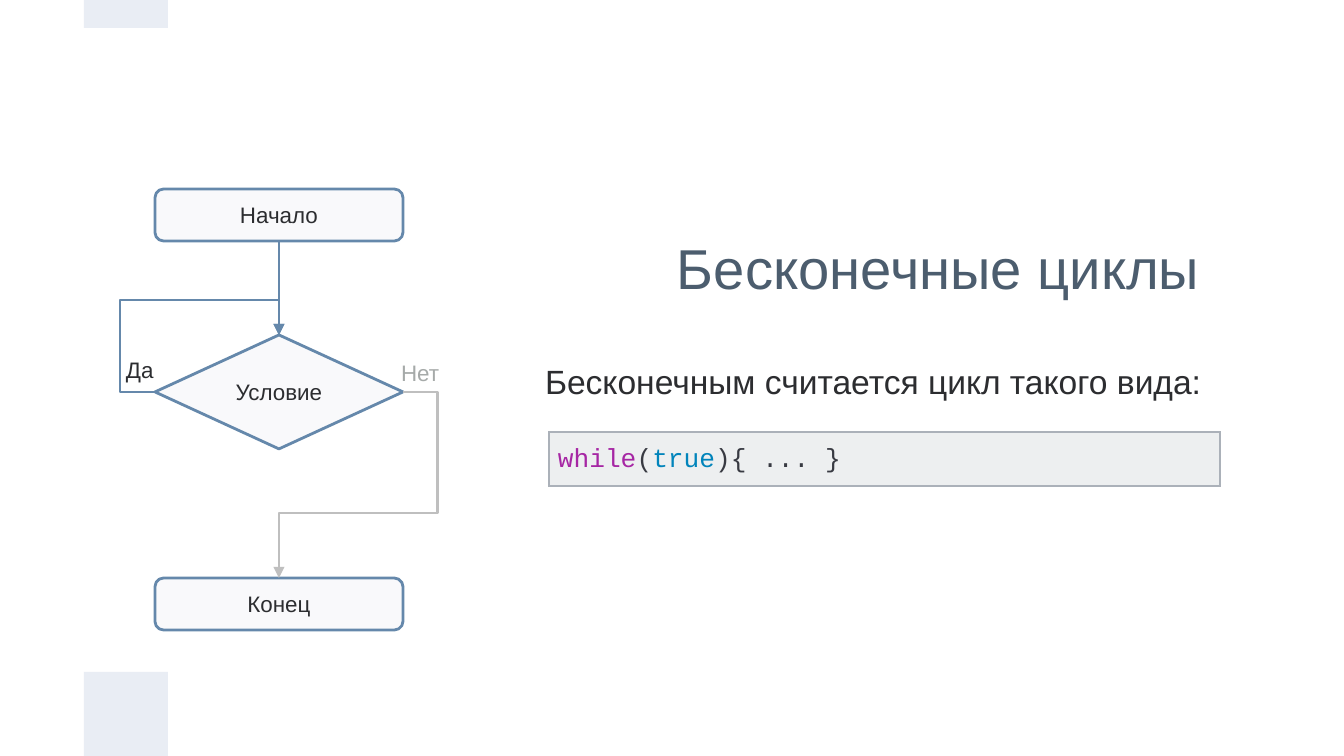
from lxml import etree
from pptx import Presentation
from pptx.dml.color import RGBColor
from pptx.enum.shapes import MSO_CONNECTOR, MSO_SHAPE
from pptx.enum.text import MSO_ANCHOR, PP_ALIGN
from pptx.oxml.ns import qn
from pptx.util import Emu, Pt

EMU_PER_PX = 914400 / 134.4
RECTANGLE = MSO_SHAPE.RECTANGLE
ROUNDED = MSO_SHAPE.ROUNDED_RECTANGLE
DIAMOND = MSO_SHAPE.DIAMOND
STRAIGHT = MSO_CONNECTOR.STRAIGHT
ELBOW = MSO_CONNECTOR.ELBOW
MIDDLE = MSO_ANCHOR.MIDDLE
TOP = MSO_ANCHOR.TOP
LEFT = PP_ALIGN.LEFT
CENTER = PP_ALIGN.CENTER
JUSTIFY = PP_ALIGN.JUSTIFY
TOP_SITE, BOTTOM_SITE = 0, 2

BLUE = "6588AB"
GRAY = "BFBFBF"
DARK = "2C2D30"
CODE = "383A42"
NODE_LEFT, NODE_WIDTH = 155, 248
NODE_CENTER = NODE_LEFT + NODE_WIDTH // 2
CONDITION_TOP, CONDITION_MIDDLE = 335, 392
END_TOP = 578


def px(value):
    return Emu(round(value * EMU_PER_PX))


def color(value):
    return RGBColor.from_string(value)


def set_fill(target, value):
    target.fill.solid()
    target.fill.fore_color.rgb = color(value)


def set_font(font, size, value, name="Arial"):
    font.name = name
    font.size = Pt(size)
    font.color.rgb = color(value)


def set_margins(target, horizontal, vertical):
    target.margin_left = target.margin_right = px(horizontal)
    target.margin_top = target.margin_bottom = px(vertical)


def write_text(shape, text, size, value, align, anchor, margins):
    frame = shape.text_frame
    frame.word_wrap = True
    frame.vertical_anchor = anchor
    set_margins(frame, *margins)
    paragraph = frame.paragraphs[0]
    paragraph.text = text
    paragraph.alignment = align
    set_font(paragraph.font, size, value)
    return paragraph


def add_band(slide, top, height):
    shape = slide.shapes.add_shape(RECTANGLE, px(84), px(top), px(84), px(height))
    shape.shadow.inherit = False
    set_fill(shape, "E9EDF4")
    shape.line.fill.background()


def add_node(slide, kind, text, top, height):
    shape = slide.shapes.add_shape(kind, px(NODE_LEFT), px(top), px(NODE_WIDTH), px(height))
    shape.shadow.inherit = False
    set_fill(shape, "F9F9FB")
    shape.line.color.rgb = color(BLUE)
    shape.line.width = Pt(1.5)
    write_text(shape, text, 12, DARK, CENTER, MIDDLE, (13, 7))
    return shape


def add_text(slide, text, box, size, value, align=LEFT, anchor=TOP, margins=(13, 7)):
    shape = slide.shapes.add_textbox(*map(px, box))
    return write_text(shape, text, size, value, align, anchor, margins)


def add_arrow(slide, kind, start, end, value):
    connector = slide.shapes.add_connector(kind, *map(px, start + end))
    connector.line.color.rgb = color(value)
    connector.line.width = Pt(1.5)
    properties = connector._element.spPr
    etree.SubElement(properties.find(qn("a:ln")), qn("a:tailEnd"), type="triangle")
    etree.SubElement(properties, qn("a:effectLst"))
    return connector


def add_bent_arrow(slide, start, end, via_x, via_y, value):
    connector = add_arrow(slide, ELBOW, start, end, value)
    geometry = connector._element.spPr.find(qn("a:prstGeom"))
    geometry.set("prst", "bentConnector4")
    guides = geometry.find(qn("a:avLst"))
    if guides is None:
        guides = etree.SubElement(geometry, qn("a:avLst"))
    for axis, via in enumerate((via_x, via_y)):
        ratio = (via - start[axis]) / (end[axis] - start[axis])
        etree.SubElement(guides, qn("a:gd"), name=f"adj{axis + 1}",
                         fmla=f"val {round(ratio * 100000)}")


def add_cell_borders(cell, value):
    properties = cell._tc.get_or_add_tcPr()
    for index, side in enumerate(("lnL", "lnR", "lnT", "lnB")):
        line = etree.Element(qn(f"a:{side}"), w=str(Pt(1)))
        fill = etree.SubElement(line, qn("a:solidFill"))
        etree.SubElement(fill, qn("a:srgbClr"), val=value)
        properties.insert(index, line)


def add_code_table(slide, box, pieces):
    table = slide.shapes.add_table(1, 1, *map(px, box)).table
    table.first_row = table.horz_banding = False
    cell = table.cell(0, 0)
    set_fill(cell, "EDEFF0")
    set_margins(cell, 9, 9)
    add_cell_borders(cell, "ABB1B9")
    paragraph = cell.text_frame.paragraphs[0]
    paragraph.line_spacing = 1.15
    for text, value in pieces:
        run = paragraph.add_run()
        run.text = text
        set_font(run.font, 14, value, "Courier New")


def add_flowchart(slide):
    start = add_node(slide, ROUNDED, "Начало", 189, 52)
    condition = add_node(slide, DIAMOND, "Условие", CONDITION_TOP, 114)
    add_node(slide, ROUNDED, "Конец", END_TOP, 52)
    add_text(slide, "Нет", (388, 352, 66, 40), 12, "A6AAA9")
    add_text(slide, "Да", (113, 349, 58, 40), 12, DARK)

    entry = add_arrow(slide, STRAIGHT, (NODE_CENTER, 241), (NODE_CENTER, CONDITION_TOP), BLUE)
    entry.begin_connect(start, BOTTOM_SITE)
    entry.end_connect(condition, TOP_SITE)
    add_bent_arrow(slide, (NODE_LEFT + NODE_WIDTH, CONDITION_MIDDLE),
                   (NODE_CENTER, END_TOP), 438, 513, GRAY)
    add_bent_arrow(slide, (NODE_LEFT, CONDITION_MIDDLE),
                   (NODE_CENTER, CONDITION_TOP), 120, 300, BLUE)


def main():
    presentation = Presentation()
    presentation.slide_width = px(1344)
    presentation.slide_height = px(756)
    slide = presentation.slides.add_slide(presentation.slide_layouts[6])

    add_band(slide, 672, 84)
    add_band(slide, 0, 28)
    add_text(slide, "Бесконечные циклы", (660, 207, 571, 120), 30.1, "4C5D6E",
             anchor=MIDDLE, margins=(17, 17))
    add_flowchart(slide)
    add_code_table(slide, (549, 432, 671, 53), [
        ("while", "A626A4"), ("(", CODE), ("true", "0184BB"), ("){ ... }", CODE)])
    statement = add_text(slide, "Бесконечным считается цикл такого вида:",
                         (532, 324, 698, 108), 18, DARK, JUSTIFY, MIDDLE, (13, 13))
    statement.line_spacing = 1.14
    statement.space_before = statement.space_after = Pt(10)

    presentation.save("out.pptx")


if __name__ == "__main__":
    main()
